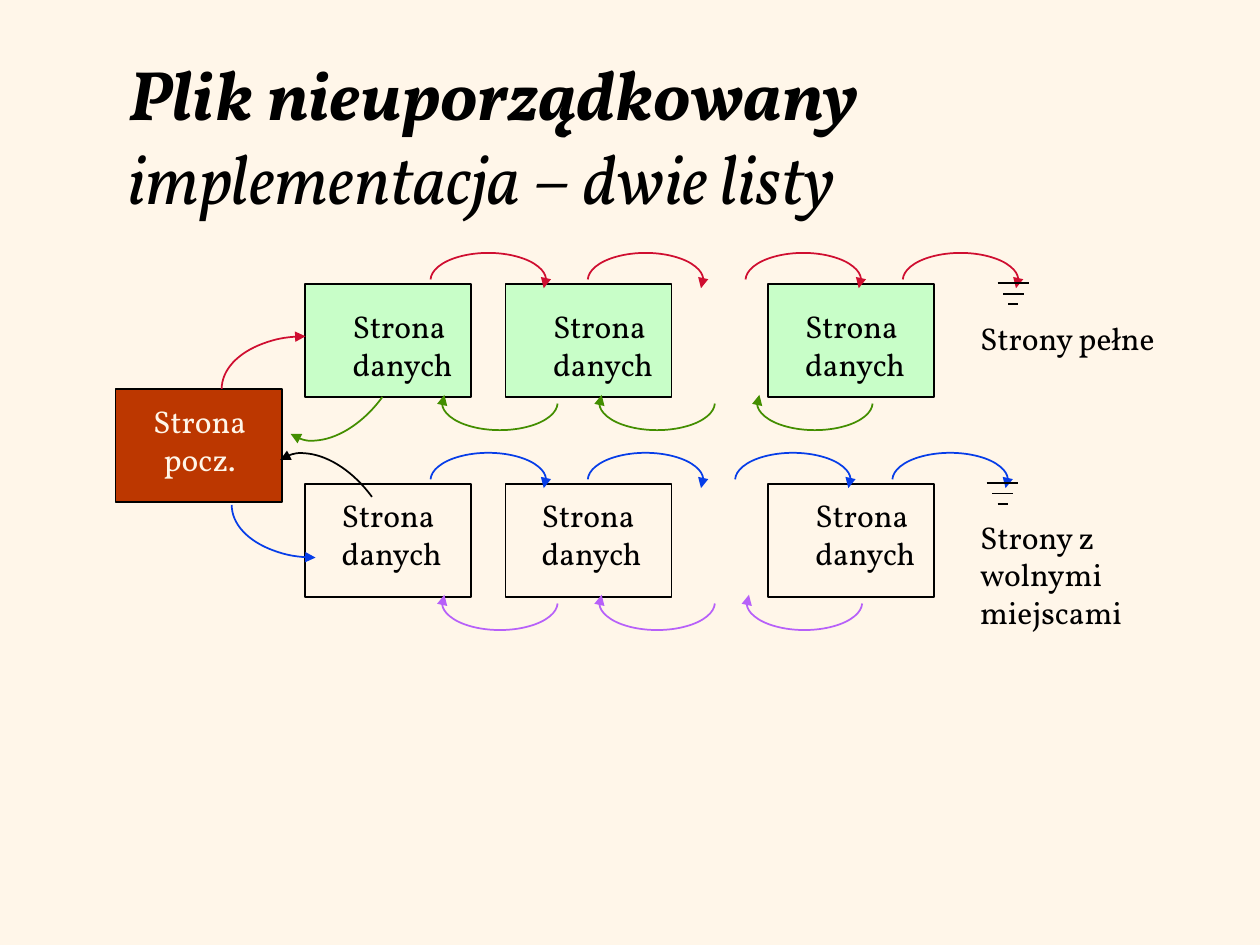
from lxml.etree import SubElement
from pptx import Presentation
from pptx.dml.color import RGBColor
from pptx.enum.shapes import MSO_CONNECTOR, MSO_SHAPE
from pptx.enum.text import MSO_ANCHOR, MSO_AUTO_SIZE, PP_ALIGN
from pptx.oxml.ns import qn
from pptx.util import Cm, Pt

# Content (lengths in cm)
FONT = "Vollkorn"
BLACK, CREAM, RUST, MINT = "000000", "FFF6E9", "BC3700", "C8FEC8"
RED, GREEN, BLUE, VIOLET = "CF0E30", "438E00", "063DE8", "B760F9"

TITLE = [("Plik nieuporządkowany ", True), ("implementacja – dwie listy", False)]
DATA_PAGE = "Strona\ndanych"
PAGE_XS = [6.15, 10.19, 15.48]
PAGE_W, PAGE_H = 3.35, 2.28
LINK_W, LINK_H = 2.33, 1.11

ROWS = [
    dict(top=5.73, fill=MINT, label_xs=[6.86, 10.9, 15.98], label_top=6.07,
         next_xs=[8.68, 11.85, 15.03, 18.2], next_color=RED,
         back_xs=[8.91, 12.08, 15.26], back_color=GREEN,
         ground_x=20.43, caption="Strony pełne", caption_box=(19.51, 6.3, 4.37, 1.02)),
    dict(top=9.76, fill=None, label_xs=[6.64, 10.67, 16.19], label_top=9.88,
         next_xs=[8.68, 11.85, 14.82, 17.99], next_color=BLUE,
         back_xs=[8.91, 12.08, 15.05], back_color=VIOLET,
         ground_x=20.21, caption="Strony z\nwolnymi\nmiejscami",
         caption_box=(19.51, 10.31, 3.61, 2.54)),
]
# left, top, start angle, end angle, rotation, arrow end, colour
START_LINKS = [
    (4.47, 6.78, 180, 270, 0, "tailEnd", RED),
    (5.16, 6.32, 270, 0, 126, "tailEnd", GREEN),
    (4.95, 9.58, 180, 270, 54, "headEnd", BLACK),
    (4.67, 9.12, 270, 0, 180, "headEnd", BLUE),
]
GROUND_WIDTHS = [0.64, 0.42, 0.2]
GROUND_STEP = 0.21


def rgb(color):
    return RGBColor.from_string(color)


def format_run(run, size, color):
    run.font.name = FONT
    run.font.size = Pt(size)
    run.font.color.rgb = rgb(color)


def add_page(left, top, fill):
    page = slide.shapes.add_shape(MSO_SHAPE.RECTANGLE, Cm(left), Cm(top),
                                  Cm(PAGE_W), Cm(PAGE_H))
    page.shadow.inherit = False
    page.line.color.rgb = rgb(BLACK)
    page.line.width = Pt(1)
    if fill:
        page.fill.solid()
        page.fill.fore_color.rgb = rgb(fill)
    else:
        page.fill.background()


def add_label(text, left, top, width, height, color=BLACK, align=PP_ALIGN.LEFT):
    label = slide.shapes.add_textbox(Cm(left), Cm(top), Cm(width), Cm(height))
    frame = label.text_frame
    frame.text = text
    frame.word_wrap = False
    frame.auto_size = MSO_AUTO_SIZE.SHAPE_TO_FIT_TEXT
    for paragraph in frame.paragraphs:
        paragraph.alignment = align
        for run in paragraph.runs:
            format_run(run, 18, color)


def add_arc(left, top, width, height, start, end, rotation, arrow, color):
    arc = slide.shapes.add_shape(MSO_SHAPE.ARC, Cm(left), Cm(top), Cm(width), Cm(height))
    # Angles are stored in 60000ths of a degree, adjustments in 100000ths
    arc.adjustments[0] = start * 0.6
    arc.adjustments[1] = end * 0.6
    arc.rotation = rotation
    arc.shadow.inherit = False
    arc.fill.background()
    arc.line.color.rgb = rgb(color)
    arc.line.width = Pt(1)
    SubElement(arc.line._get_or_add_ln(), qn("a:" + arrow), type="triangle")


def add_ground(center, top):
    ground = slide.shapes.add_group_shape()
    for i, width in enumerate(GROUND_WIDTHS):
        y = Cm(top + i * GROUND_STEP)
        bar = ground.shapes.add_connector(MSO_CONNECTOR.STRAIGHT, Cm(center - width / 2), y,
                                          Cm(center + width / 2), y)
        bar.line.color.rgb = rgb(BLACK)
        bar.line.width = Pt(1)
        SubElement(bar._element.spPr, qn("a:effectLst"))


# Slide and background
prs = Presentation()
prs.slide_width, prs.slide_height = Cm(25.4), Cm(19.05)
slide = prs.slides.add_slide(prs.slide_layouts[5])
slide.background.fill.solid()
slide.background.fill.fore_color.rgb = rgb(CREAM)

# Title
title = slide.shapes.title
title.left, title.top, title.width, title.height = Cm(2.33), Cm(1.17), Cm(21.59), Cm(3.07)
title.text_frame.auto_size = MSO_AUTO_SIZE.NONE
title.text_frame.vertical_anchor = MSO_ANCHOR.MIDDLE
heading = title.text_frame.paragraphs[0]
heading.alignment = PP_ALIGN.LEFT
for text, bold in TITLE:
    run = heading.add_run()
    run.text = text
    format_run(run, 40, BLACK)
    run.font.bold, run.font.italic = bold, True

# Start page
add_page(2.33, 7.84, RUST)
add_label("Strona\npocz.", 2.77, 7.98, 2.51, 1.78, CREAM, PP_ALIGN.CENTER)

# Page lists
for row in ROWS:
    for page_x, label_x in zip(PAGE_XS, row["label_xs"]):
        add_page(page_x, row["top"], row["fill"])
        add_label(DATA_PAGE, label_x, row["label_top"], 2.74, 1.78)
    for x in row["next_xs"]:
        add_arc(x, row["top"] - 0.63, LINK_W, LINK_H, 181, 8, 0, "tailEnd", row["next_color"])
    for x in row["back_xs"]:
        add_arc(x, row["top"] + 1.83, LINK_W, LINK_H, 181, 8, 180, "tailEnd",
                row["back_color"])
    add_ground(row["ground_x"], row["top"] - 0.02)
    add_label(row["caption"], *row["caption_box"])

# Links of the start page
for left, top, *bend in START_LINKS:
    add_arc(left, top, 3.38, 2.12, *bend)

prs.save("out.pptx")
